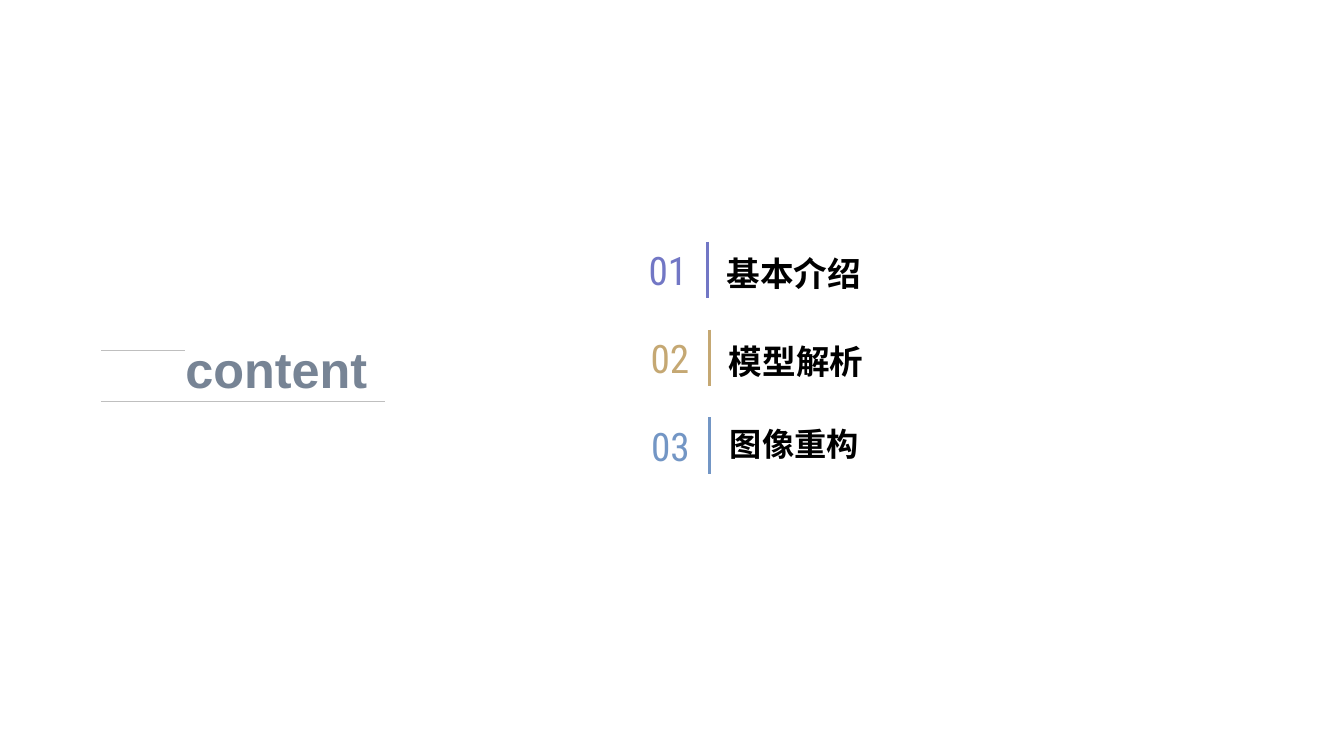
from pptx import Presentation
from pptx.dml.color import RGBColor
from pptx.enum.shapes import MSO_CONNECTOR
from pptx.enum.text import MSO_ANCHOR, PP_ALIGN
from pptx.oxml.ns import qn
from pptx.util import Inches, Pt
from lxml import etree

STRAIGHT = MSO_CONNECTOR.STRAIGHT
MIDDLE, BOTTOM = MSO_ANCHOR.MIDDLE, MSO_ANCHOR.BOTTOM
LEFT, CENTER = PP_ALIGN.LEFT, PP_ALIGN.CENTER

ROW_TOP, ROW_STEP, BAR_HEIGHT = 2.4, 0.87, 0.56
CHAPTERS = [
    {"number": "01", "title": "基本介绍", "color": "7277C5", "number_width": 0.51,
     "bar_left": 7.02, "title_box": (7.11, 2.32, 3.92, 0.64), "size": 24},
    {"number": "02", "title": "模型解析", "color": "C5A873", "number_width": 0.55,
     "bar_left": 7.04, "title_box": (7.13, 3.19, 3.92, 0.64), "size": 24},
    {"number": "03", "title": "图像重构", "color": "7396C5", "number_width": 0.56,
     "bar_left": 7.04, "title_box": (7.14, 4.17, 3.92, 0.47), "size": 23},
]


def rgb(color):
    """Return the colour for a hex string."""
    return RGBColor.from_string(color)


def add_line(slide, start, end, color, width):
    """Draw a straight line without shadow between two points."""
    line = slide.shapes.add_connector(STRAIGHT, *map(Inches, start + end))
    line.line.color.rgb = rgb(color)
    line.line.width = Pt(width)
    properties = line._element.find(qn("p:spPr"))
    etree.SubElement(properties, qn("a:effectLst"))


def add_text(slide, box, text, *, size, color, font="Arial", bold=False,
             align=LEFT, anchor=MIDDLE, insets=(0.1, 0.05)):
    """Add one unwrapped line of text."""
    shape = slide.shapes.add_textbox(*map(Inches, box))
    frame = shape.text_frame
    frame.word_wrap = False
    frame.vertical_anchor = anchor
    frame.margin_left = frame.margin_right = Inches(insets[0])
    frame.margin_top = frame.margin_bottom = Inches(insets[1])
    paragraph = frame.paragraphs[0]
    paragraph.alignment = align
    run = paragraph.add_run()
    run.text = text
    run.font.name = font
    run.font.size = Pt(size)
    run.font.bold = bold
    run.font.color.rgb = rgb(color)


def add_chapter(slide, chapter, top):
    """Add the number, bar and title of one chapter."""
    color, bar_left = chapter["color"], chapter["bar_left"]
    add_text(slide, (6.37, top + 0.03, chapter["number_width"], 0.5),
             chapter["number"], size=28, color=color, font="Roboto Condensed",
             align=CENTER, insets=(0, 0))
    add_line(slide, (bar_left, top), (bar_left, top + BAR_HEIGHT), color, 2.25)
    add_text(slide, chapter["title_box"], chapter["title"], size=chapter["size"],
             color="000000", bold=True, anchor=BOTTOM)


def main():
    """Build the contents slide."""
    presentation = Presentation()
    presentation.slide_width = Inches(13.33)
    presentation.slide_height = Inches(7.5)
    slide = presentation.slides.add_slide(presentation.slide_layouts[6])

    add_line(slide, (1.83, 3.48), (1, 3.48), "BFBFBF", 0.5)
    add_line(slide, (1, 3.98), (3.82, 3.98), "BFBFBF", 0.5)
    for index, chapter in enumerate(CHAPTERS):
        add_chapter(slide, chapter, ROW_TOP + index * ROW_STEP)
    add_text(slide, (1.74, 3.3, 2.08, 0.71), "content", size=36,
             color="778495", bold=True)

    presentation.save("out.pptx")


if __name__ == "__main__":
    main()
